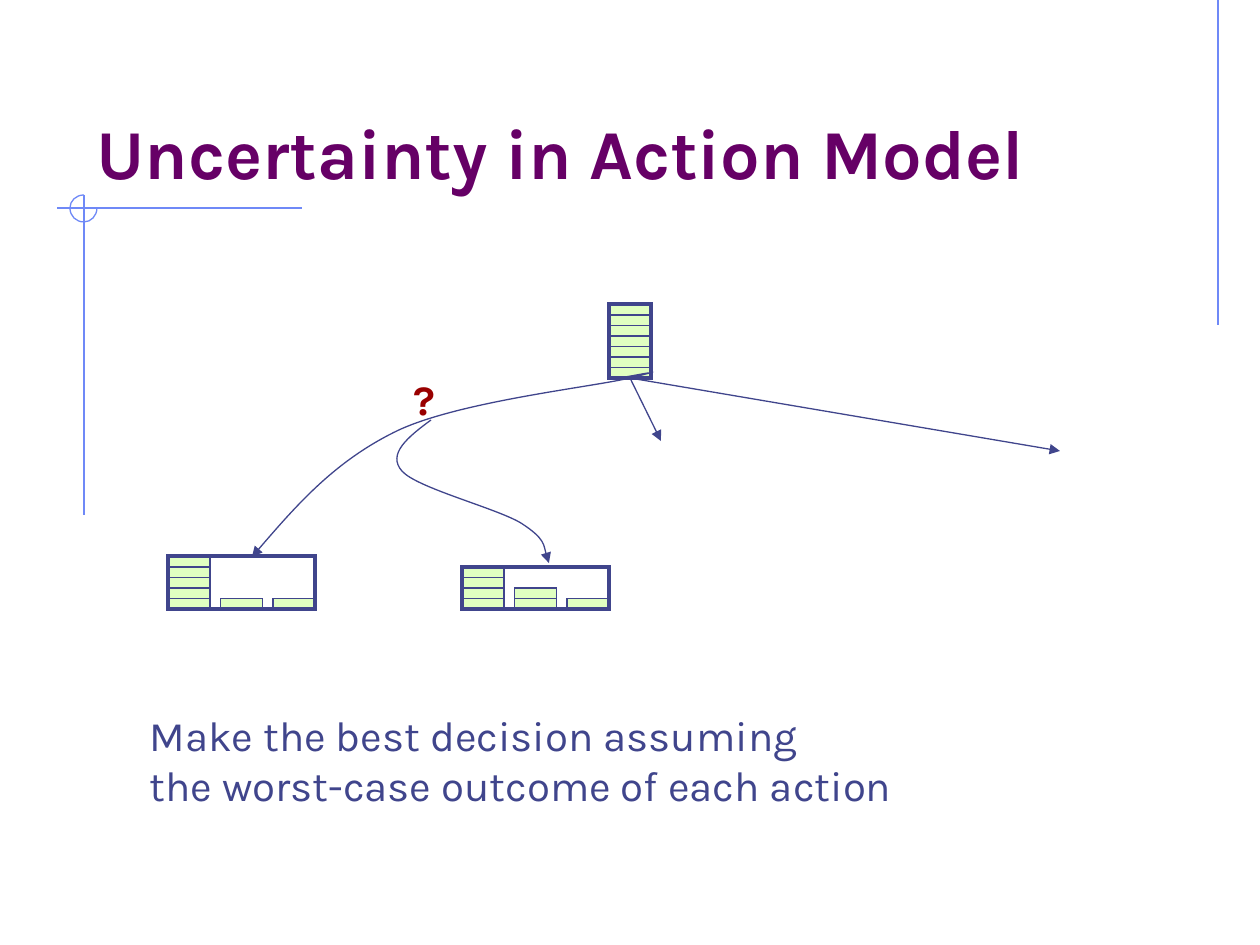
from lxml import etree
from pptx import Presentation
from pptx.dml.color import RGBColor
from pptx.enum import shapes, text
from pptx.oxml.ns import qn
from pptx.util import Pt

PX = 914400 / 126
FONT = "Karla"
INK = RGBColor(0x40, 0x45, 0x8C)
RULE = RGBColor(0x6F, 0x89, 0xF7)
BLOCK = RGBColor(0xE0, 0xFF, 0xC1)
PURPLE = RGBColor(0x66, 0x00, 0x66)
RED = RGBColor(0x99, 0x00, 0x00)

TITLE = "Uncertainty in Action Model"
# left, top, width, height, lines, size, colour, bold
LABELS = [
    (401, 367, 45, 63, ["?"], 24, RED, True),
    (137, 703, 786, 113, ["Make the best decision assuming",
                          "the worst-case outcome of each action"], 24, INK, False),
]
# left, bottom, height of each stack in blocks
STATES = [(168, 609, [5, 1, 1]), (609, 378, [7]), (462, 609, [4, 2, 1])]
BLOCK_W, BLOCK_H, PITCH = 42, 10.5, 52.5

RULES = [((1218, 0), (1218, 325)), ((302, 208), (57, 208)), ((84, 195), (84, 515))]
ACTIONS = [((630, 378), (661, 441)), ((630, 378), (1060, 451))]
# start point, then Bezier segments (two controls and an end)
RING = [(84, 195), [(76, 195), (70, 201), (70, 208)],
        [(70, 216), (76, 222), (84, 222)], [(91, 222), (97, 216), (97, 208)]]
OUTCOMES = [
    [(620, 378), [(643, 374), (667, 369), (630, 378)],
     [(593, 387), (462, 401), (399, 430)], [(336, 460), (294, 508), (252, 557)]],
    [(431, 420), [(408, 437), (387, 454), (402, 471)],
     [(417, 488), (496, 508), (521, 523)], [(546, 539), (546, 556), (549, 563)]],
]


def emu(*lengths):
    return [round(v * PX) for v in lengths]


def style_line(sp, color, width=0.75, arrow=False):
    sp.line.color.rgb = color
    sp.line.width = Pt(width)
    ln = sp.line._get_or_add_ln()
    etree.SubElement(ln, qn("a:miter"), lim="800000")
    if arrow:
        etree.SubElement(ln, qn("a:tailEnd"), type="triangle")


def add_line(start, end, color, arrow=False):
    sp = s.shapes.add_connector(shapes.MSO_CONNECTOR.STRAIGHT, *emu(*start, *end))
    style_line(sp, color, arrow=arrow)
    etree.SubElement(sp._element.spPr, qn("a:effectLst"))


def add_curve(curve, color, arrow=False):
    """Outline the control points, then join each three into a Bezier segment."""
    start, *segments = curve
    builder = s.shapes.build_freeform(*emu(*start))
    builder.add_line_segments([emu(*pt) for seg in segments for pt in seg], close=False)
    sp = builder.convert_to_shape()
    outline = next(sp._element.iter(qn("a:path")))
    steps = outline.findall(qn("a:lnTo"))
    for i in range(0, len(steps), 3):
        bezier = etree.SubElement(outline, qn("a:cubicBezTo"))
        for step in steps[i:i + 3]:
            bezier.append(step[0])
            outline.remove(step)
    sp.shadow.inherit = False
    sp.fill.background()
    style_line(sp, color, arrow=arrow)


def add_box(left, top, width, height, fill=None, line_width=0.75):
    sp = s.shapes.add_shape(shapes.MSO_SHAPE.RECTANGLE, *emu(left, top, width, height))
    sp.shadow.inherit = False
    if fill is None:
        sp.fill.background()
    else:
        sp.fill.solid()
        sp.fill.fore_color.rgb = fill
    style_line(sp, INK, line_width)


def add_state(left, bottom, stacks):
    """Draw stacks of blocks standing on one floor, with a frame around them."""
    for column, count in enumerate(stacks):
        for row in range(1, count + 1):
            add_box(left + column * PITCH, bottom - row * BLOCK_H, BLOCK_W, BLOCK_H, BLOCK)
    height = max(stacks) * BLOCK_H
    add_box(left, bottom - height, (len(stacks) - 1) * PITCH + BLOCK_W, height, line_width=2.25)


def write(tf, lines, size, color, bold):
    for i, line in enumerate(lines):
        p = tf.paragraphs[0] if i == 0 else tf.add_paragraph()
        p.alignment = text.PP_ALIGN.LEFT
        r = p.add_run()
        r.text = line
        r.font.name, r.font.size, r.font.bold = FONT, Pt(size), bold
        r.font.color.rgb = color


prs = Presentation()
prs.slide_width, prs.slide_height = emu(1260, 945)
s = prs.slides.add_slide(prs.slide_layouts[5])

title = s.shapes.title
title.left, title.top, title.width, title.height = emu(84, 42, 1071, 158)
title.text_frame.vertical_anchor = text.MSO_ANCHOR.BOTTOM
write(title.text_frame, [TITLE], 40, PURPLE, True)

for start, end in RULES:
    add_line(start, end, RULE)
add_curve(RING, RULE)
for state in STATES:
    add_state(*state)
for start, end in ACTIONS:
    add_line(start, end, INK, arrow=True)
for outcome in OUTCOMES:
    add_curve(outcome, INK, arrow=True)
for left, top, width, height, lines, size, color, bold in LABELS:
    tf = s.shapes.add_textbox(*emu(left, top, width, height)).text_frame
    tf.word_wrap = False
    write(tf, lines, size, color, bold)

prs.save("out.pptx")
